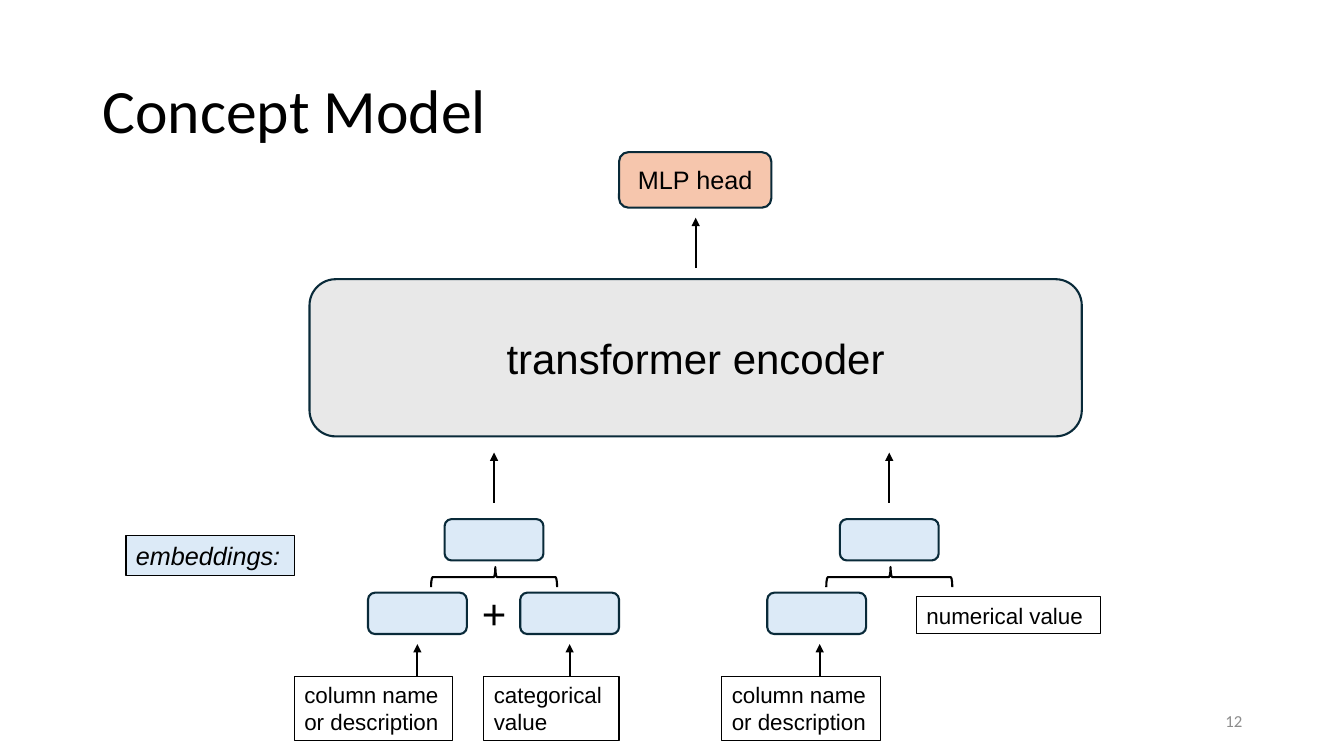
from dataclasses import dataclass

from lxml import etree
from pptx import Presentation
from pptx.dml.color import RGBColor
from pptx.enum.shapes import MSO_CONNECTOR, MSO_SHAPE
from pptx.enum.text import MSO_ANCHOR, PP_ALIGN
from pptx.oxml.ns import qn
from pptx.util import Emu, Pt

ROUNDED, RECT, BRACE = MSO_SHAPE.ROUNDED_RECTANGLE, MSO_SHAPE.RECTANGLE, MSO_SHAPE.LEFT_BRACE
STRAIGHT = MSO_CONNECTOR.STRAIGHT
TOP, MIDDLE = MSO_ANCHOR.TOP, MSO_ANCHOR.MIDDLE
LEFT, CENTER, RIGHT = PP_ALIGN.LEFT, PP_ALIGN.CENTER, PP_ALIGN.RIGHT

EMU_PER_PX = 9144
BLACK, NAVY, GREY, PEACH, BLUE, NUMBER = "000000", "092A39", "E8E8E8", "F6C6AD", "DCEAF7", "8C8C8C"


@dataclass(frozen=True)
class Label:
    left: int
    top: int
    width: int
    height: int
    text: str
    size: int
    font: str = "Arial"
    color: str = BLACK
    align: PP_ALIGN = LEFT
    anchor: MSO_ANCHOR = TOP
    fill: str | None = None
    border: str | None = None
    italic: bool = False
    wrap: bool = True
    spacing: float = 1.0


@dataclass(frozen=True)
class Block:
    left: int
    top: int
    width: int
    height: int
    fill: str
    text: str = ""
    size: int = 18


@dataclass(frozen=True)
class Arrow:
    x: int
    start: int
    end: int


BLOCKS = [
    Block(307, 277, 766, 156, GREY, "transformer encoder", 30),
    Block(614, 151, 151, 55, PEACH, "MLP head"),
    *(Block(x, 515, 98, 41, BLUE) for x in (441, 833)),
    *(Block(x, 588, 98, 41, BLUE) for x in (365, 516, 761)),
]
ARROWS = [
    Arrow(690, 266, 216),
    *(Arrow(x, 499, 449) for x in (490, 882)),
    *(Arrow(x, 671, 639) for x in (414, 565, 813)),
]
BRACE_LEFTS = [480, 872]
LABELS = [
    Label(92, 40, 1150, 145, "Concept Model", 44, "Calibri", anchor=MIDDLE, spacing=0.9),
    Label(942, 695, 300, 40, "12", 12, "Calibri", NUMBER, RIGHT, MIDDLE),
    Label(468, 578, 45, 61, "+", 30, wrap=False),
    Label(909, 592, 183, 37, "numerical value", 16, border=BLACK),
    *(Label(x, 671, 157, 64, "column name or description", 16, border=BLACK) for x in (292, 716)),
    Label(480, 671, 134, 64, "categorical value", 16, border=BLACK),
    Label(125, 531, 167, 40, "embeddings:", 18, fill=BLUE, border=BLACK, italic=True),
]


def px(n: int) -> Emu:
    """Convert px to EMU."""
    return Emu(n * EMU_PER_PX)


def rgb(color: str) -> RGBColor:
    """Turn a hex string into a colour."""
    return RGBColor.from_string(color)


def set_line(line, color: str, width: float) -> None:
    """Set the colour and width of a line."""
    line.color.rgb = rgb(color)
    line.width = Pt(width)


def add_run(p, text: str, size: int, font: str, color: str, italic: bool = False) -> None:
    """Append one formatted run."""
    r = p.add_run()
    r.text = text
    r.font.size = Pt(size)
    r.font.name = font
    r.font.italic = italic
    r.font.color.rgb = rgb(color)


def draw_label(s, label: Label) -> None:
    """Draw a text box with optional fill and border."""
    sp = s.shapes.add_textbox(px(label.left), px(label.top), px(label.width), px(label.height))
    if label.fill:
        sp.fill.solid()
        sp.fill.fore_color.rgb = rgb(label.fill)
    if label.border:
        set_line(sp.line, label.border, 0.75)
    tf = sp.text_frame
    tf.word_wrap = label.wrap
    tf.vertical_anchor = label.anchor
    p = tf.paragraphs[0]
    p.alignment = label.align
    p.line_spacing = label.spacing
    add_run(p, label.text, label.size, label.font, label.color, label.italic)


def draw_block(s, block: Block) -> None:
    """Draw a rounded block of the model."""
    sp = s.shapes.add_shape(ROUNDED, px(block.left), px(block.top), px(block.width), px(block.height))
    sp.shadow.inherit = False
    sp.fill.solid()
    sp.fill.fore_color.rgb = rgb(block.fill)
    set_line(sp.line, NAVY, 1.5)
    if block.text:
        tf = sp.text_frame
        tf.word_wrap = True
        tf.vertical_anchor = MIDDLE
        p = tf.paragraphs[0]
        p.alignment = CENTER
        add_run(p, block.text, block.size, "Arial", BLACK)


def draw_arrow(s, arrow: Arrow) -> None:
    """Draw a vertical arrow."""
    sp = s.shapes.add_connector(STRAIGHT, px(arrow.x), px(arrow.start), px(arrow.x), px(arrow.end))
    set_line(sp.line, BLACK, 1.5)
    etree.SubElement(sp.line._get_or_add_ln(), qn("a:tailEnd"), type="triangle")
    etree.SubElement(sp._element.spPr, qn("a:effectLst"))


def draw_brace(s, left: int) -> None:
    """Draw a brace turned to point upwards."""
    sp = s.shapes.add_shape(BRACE, px(left), px(510), px(20), px(125))
    sp.rotation = 90
    sp.adjustments[0] = 0.08
    sp.adjustments[1] = 0.49
    sp.shadow.inherit = False
    sp.fill.background()
    set_line(sp.line, BLACK, 1.5)


def main() -> None:
    """Build the slide and save it."""
    prs = Presentation()
    prs.slide_width, prs.slide_height = px(1333), px(750)
    s = prs.slides.add_slide(prs.slide_layouts[6])
    for block in BLOCKS:
        draw_block(s, block)
    for arrow in ARROWS:
        draw_arrow(s, arrow)
    for left in BRACE_LEFTS:
        draw_brace(s, left)
    for label in LABELS:
        draw_label(s, label)
    prs.save("out.pptx")


if __name__ == "__main__":
    main()
